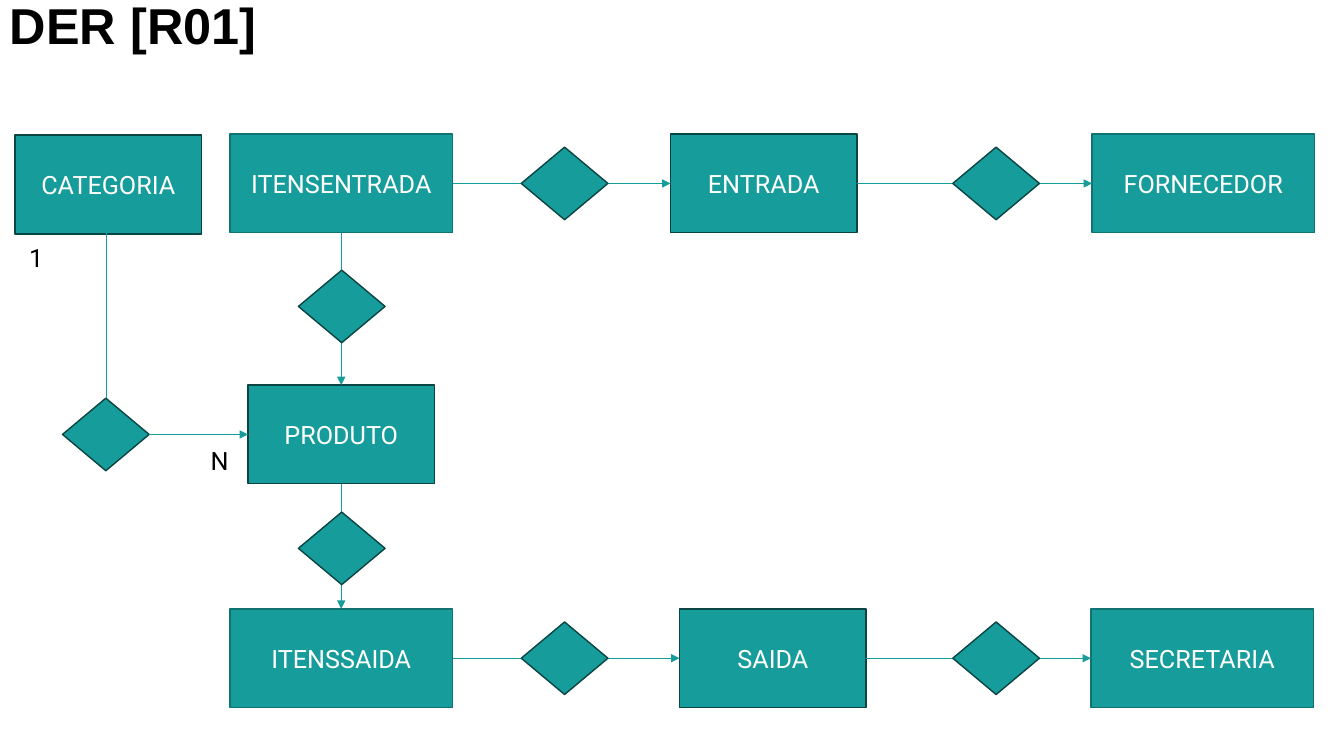
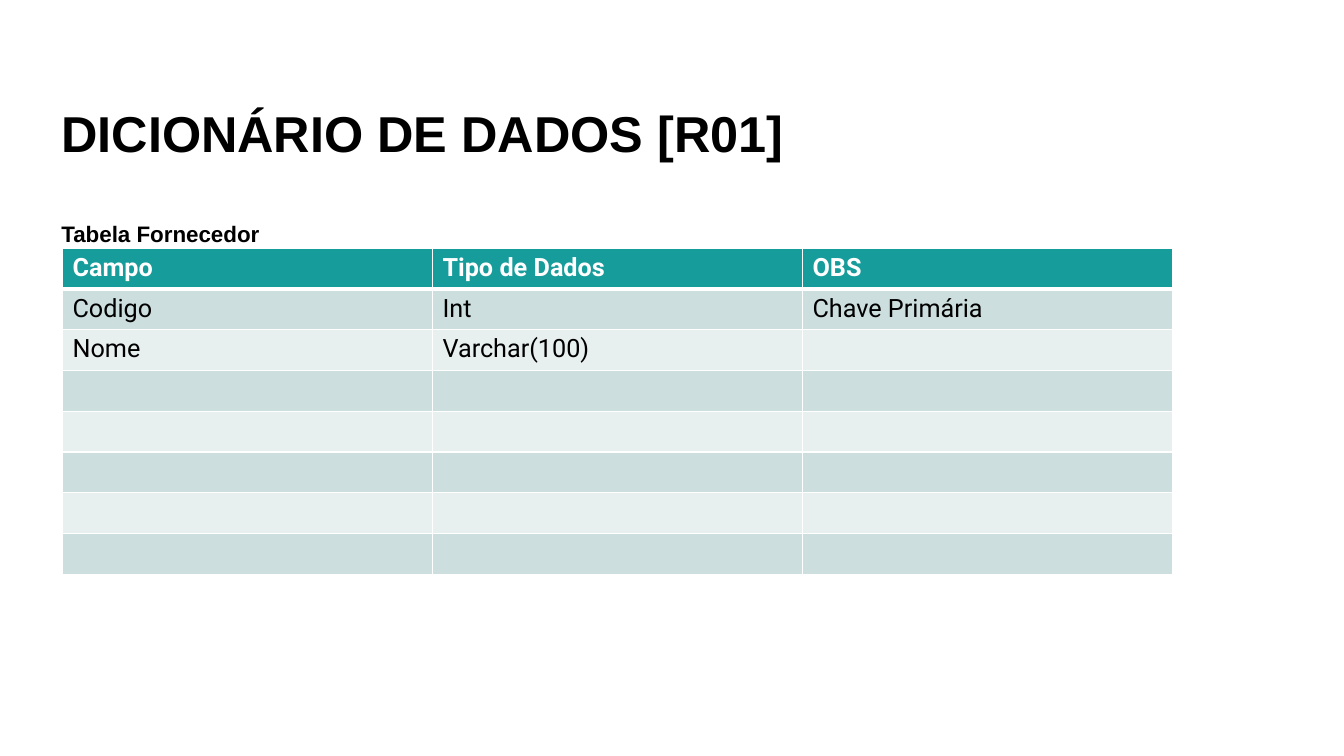
from lxml import etree
from pptx import Presentation
from pptx.dml.color import RGBColor
from pptx.enum.shapes import MSO_CONNECTOR, MSO_SHAPE
from pptx.enum.text import MSO_ANCHOR, PP_ALIGN
from pptx.oxml.ns import qn
from pptx.util import Pt

PX = 9144
COLORS = {
    "teal": "169C9A",
    "dark": "0A4443",
    "edge": "107372",
    "band": "CCDEDE",
    "pale": "E8EFEF",
    "white": "FFFFFF",
    "black": "000000",
}
HEADING_FONT, BODY_FONT = "Arial", "Roboto"
RECT, DIAMOND = MSO_SHAPE.RECTANGLE, MSO_SHAPE.DIAMOND
STRAIGHT = MSO_CONNECTOR.STRAIGHT
TOP, MIDDLE, BOTTOM = MSO_ANCHOR.TOP, MSO_ANCHOR.MIDDLE, MSO_ANCHOR.BOTTOM
LEFT, CENTER = PP_ALIGN.LEFT, PP_ALIGN.CENTER
SIDE_TOP, SIDE_LEFT, SIDE_BOTTOM, SIDE_RIGHT = range(4)

ENTITY_H = 98
DIAMOND_W, DIAMOND_H = 86, 72
NARROW, WIDE = 185, 221
ENTITIES = [
    ("CATEGORIA", 15, 134, NARROW),
    ("PRODUTO", 246, 382, NARROW),
    ("ITENSENTRADA", 228, 133, WIDE),
    ("ENTRADA", 665, 133, NARROW),
    ("FORNECEDOR", 1083, 133, WIDE),
    ("ITENSSAIDA", 228, 604, WIDE),
    ("SAIDA", 674, 604, NARROW),
    ("SECRETARIA", 1082, 604, WIDE),
]
RELATIONS = [
    ("ITENSENTRADA", SIDE_BOTTOM, "PRODUTO", SIDE_TOP, 339, 304),
    ("PRODUTO", SIDE_BOTTOM, "ITENSSAIDA", SIDE_TOP, 339, 544),
    ("ITENSENTRADA", SIDE_RIGHT, "ENTRADA", SIDE_LEFT, 560, 182),
    ("ITENSSAIDA", SIDE_RIGHT, "SAIDA", SIDE_LEFT, 560, 653),
    ("ENTRADA", SIDE_RIGHT, "FORNECEDOR", SIDE_LEFT, 988, 182),
    ("SAIDA", SIDE_RIGHT, "SECRETARIA", SIDE_LEFT, 988, 653),
]
FIELDS = [
    ("Campo", "Tipo de Dados", "OBS"),
    ("Codigo", "Int", "Chave Primária"),
    ("Nome", "Varchar(100)", ""),
] + [("", "", "")] * 5


def rgb(name):
    return RGBColor.from_string(COLORS[name])


def px(*lengths):
    return [n * PX for n in lengths]


def write(tf, text, size=18, font=BODY_FONT, color="black", bold=False,
          align=LEFT, spacing=None):
    p = tf.paragraphs[0]
    p.alignment = align
    if spacing:
        p.line_spacing = spacing
    r = p.add_run()
    r.text = text
    r.font.size = Pt(size)
    r.font.name = font
    r.font.bold = bold
    r.font.color.rgb = rgb(color)


def add_text(slide, box, text, anchor=TOP, **fmt):
    tf = slide.shapes.add_textbox(*px(*box)).text_frame
    tf.word_wrap = True
    tf.vertical_anchor = anchor
    write(tf, text, **fmt)


def add_heading(slide, box, text, size=36):
    add_text(slide, box, text, anchor=BOTTOM, size=size, font=HEADING_FONT,
             bold=True, spacing=0.9)


def add_box(slide, kind, box, edge="dark"):
    sp = slide.shapes.add_shape(kind, *px(*box))
    sp.shadow.inherit = False
    sp.fill.solid()
    sp.fill.fore_color.rgb = rgb("teal")
    sp.line.color.rgb = rgb(edge)
    sp.line.width = Pt(1)
    return sp


def add_entity(slide, name, left, top, width):
    edge = "edge" if width == WIDE else "dark"
    sp = add_box(slide, RECT, (left, top, width, ENTITY_H), edge)
    tf = sp.text_frame
    tf.word_wrap = True
    tf.vertical_anchor = MIDDLE
    write(tf, name, color="white", align=CENTER)
    return sp


def add_diamond(slide, cx, cy):
    box = (cx - DIAMOND_W // 2, cy - DIAMOND_H // 2, DIAMOND_W, DIAMOND_H)
    return add_box(slide, DIAMOND, box)


def add_line(slide, start, start_side, end=None, end_side=None, to=(0, 0)):
    line = slide.shapes.add_connector(STRAIGHT, 0, 0, *px(*to))
    line.begin_connect(start, start_side)
    line.line.color.rgb = rgb("teal")
    line.line.width = Pt(0.5)
    sp_pr = line._element.spPr
    if end is not None:
        line.end_connect(end, end_side)
        etree.SubElement(sp_pr.find(qn("a:ln")), qn("a:tailEnd"), type="triangle")
    etree.SubElement(sp_pr, qn("a:effectLst"))


def set_borders(cell, **widths):
    tc_pr = cell._tc.get_or_add_tcPr()
    for side in "LRTB":
        width = Pt(widths.get(side, 1))
        ln = etree.SubElement(tc_pr, qn("a:ln" + side), w=str(width))
        fill = etree.SubElement(ln, qn("a:solidFill"))
        etree.SubElement(fill, qn("a:srgbClr"), val=COLORS["white"])


def add_field_table(slide, box, rows):
    table = slide.shapes.add_table(len(rows), len(rows[0]), *px(*box)).table
    table.horz_banding = False
    for i, row in enumerate(rows):
        header = i == 0
        fill = "teal" if header else ("pale", "band")[i % 2]
        borders = {0: {"B": 3}, 1: {"T": 3}}.get(i, {})
        for j, text in enumerate(row):
            cell = table.cell(i, j)
            set_borders(cell, **borders)
            cell.fill.solid()
            cell.fill.fore_color.rgb = rgb(fill)
            if text:
                write(cell.text_frame, text, bold=header,
                      color="white" if header else "black")


def build_diagram(slide):
    add_heading(slide, (0, 0, 1150, 60), "DER [R01]")
    entities = {e[0]: add_entity(slide, *e) for e in ENTITIES}
    category = add_diamond(slide, 105, 431)
    add_line(slide, category, SIDE_RIGHT, entities["PRODUTO"], SIDE_LEFT)
    add_line(slide, category, SIDE_TOP, to=(105, 231))
    add_text(slide, (19, 235, 40, 40), "1")
    add_text(slide, (199, 437, 40, 40), "N")
    for start, start_side, end, end_side, cx, cy in RELATIONS:
        add_line(slide, entities[start], start_side, entities[end], end_side)
        add_diamond(slide, cx, cy)


def build_dictionary(slide):
    add_heading(slide, (51, 107, 1150, 60), "DICIONÁRIO DE DADOS [R01]")
    add_field_table(slide, (62, 246, 1101, 324), FIELDS)
    add_heading(slide, (51, 215, 1150, 35), "Tabela Fornecedor", size=16)


def main():
    prs = Presentation()
    prs.slide_width, prs.slide_height = px(1333, 750)
    for build in (build_diagram, build_dictionary):
        build(prs.slides.add_slide(prs.slide_layouts[6]))
    prs.save("out.pptx")


if __name__ == "__main__":
    main()
